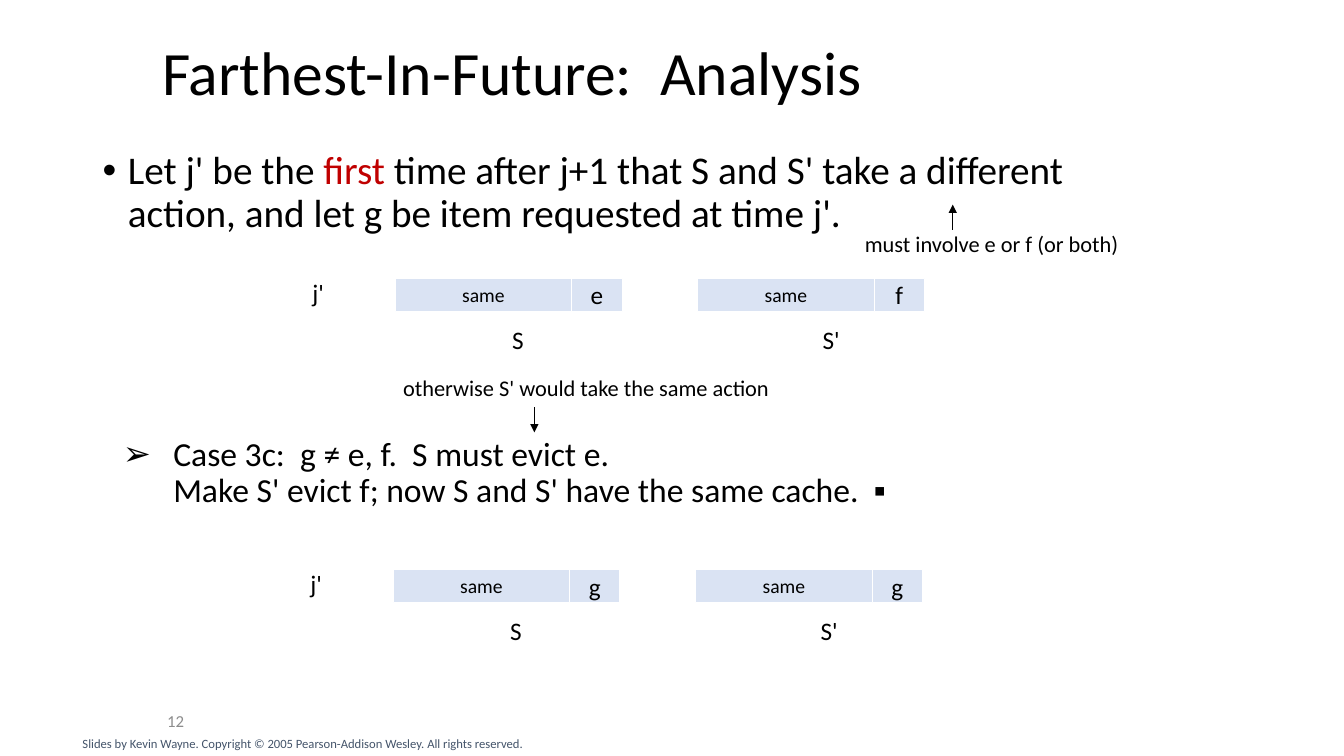
from lxml.etree import SubElement
from pptx import Presentation
from pptx.dml.color import RGBColor
from pptx.enum.shapes import MSO_CONNECTOR, MSO_SHAPE
from pptx.enum.text import MSO_ANCHOR, MSO_AUTO_SIZE, PP_ALIGN
from pptx.oxml.ns import qn
from pptx.util import Pt

BLACK = RGBColor(0x00, 0x00, 0x00)
WHITE = RGBColor(0xFF, 0xFF, 0xFF)
GRAY = RGBColor(0x8C, 0x8C, 0x8C)
SLATE = RGBColor(0x44, 0x54, 0x6A)
RED = RGBColor(0xC0, 0x00, 0x00)
CACHE_BLUE = RGBColor(0xDA, 0xE3, 0xF3)

EMU_PER_PX = 9144
SLIDE_SIZE = (1333, 750)
FONT = "Calibri"


def px(*lengths):
    """Turn lengths in px, 100 to the inch, into EMU."""
    return [length * EMU_PER_PX for length in lengths]


class SlideBuilder:
    """Holds the style and the current slide, and draws its elements."""

    def __init__(self, slide, font):
        self.slide = slide
        self.font = font

    def add_run(self, paragraph, text, size, color=BLACK):
        """Add one styled run to a paragraph."""
        run = paragraph.add_run()
        run.text = text
        run.font.name = self.font
        run.font.size = Pt(size)
        run.font.color.rgb = color

    def text_box(self, box, anchor=MSO_ANCHOR.TOP, wrap=True, grow=False):
        """Add an empty text box and return its first paragraph."""
        frame = self.slide.shapes.add_textbox(*px(*box)).text_frame
        frame.word_wrap = wrap
        frame.vertical_anchor = anchor
        frame.auto_size = MSO_AUTO_SIZE.SHAPE_TO_FIT_TEXT if grow else MSO_AUTO_SIZE.NONE
        return frame.paragraphs[0]

    def label(self, box, text, size=18):
        """Add a short label that does not wrap."""
        self.add_run(self.text_box(box, wrap=False, grow=True), text, size)

    def bullet_box(self, box, bullet, margin, hanging):
        """Add a text box with a bulleted paragraph and return the paragraph."""
        paragraph = self.text_box(box)
        paragraph.line_spacing = 0.9
        properties = paragraph._p.get_or_add_pPr()
        properties.set("marL", str(margin * EMU_PER_PX))
        properties.set("indent", str(-hanging * EMU_PER_PX))
        SubElement(properties, qn("a:buFont")).set("typeface", "Arial")
        SubElement(properties, qn("a:buChar")).set("char", bullet)
        return paragraph

    def cell(self, box, text, size):
        """Add one cache cell with centred text."""
        shape = self.slide.shapes.add_shape(MSO_SHAPE.RECTANGLE, *px(*box))
        shape.shadow.inherit = False
        shape.fill.solid()
        shape.fill.fore_color.rgb = CACHE_BLUE
        shape.line.color.rgb = WHITE
        shape.line.width = Pt(0.75)
        frame = shape.text_frame
        frame.word_wrap = False
        frame.vertical_anchor = MSO_ANCHOR.MIDDLE
        paragraph = frame.paragraphs[0]
        paragraph.alignment = PP_ALIGN.CENTER
        self.add_run(paragraph, text, size)

    def cache_row(self, left, top, items):
        """Add the caches S and S' at time j', each ending in its own item."""
        for index, item in enumerate(items):
            cache_left = left + 300 * index
            self.cell((cache_left, top, 175, 33), "same", 14)
            self.cell((cache_left + 175, top, 50, 33), item, 18)
        self.label((left + 106, top + 41, 32, 40), "S")
        self.label((left + 414, top + 41, 38, 40), "S'")
        self.label((left - 92, top - 6, 32, 40), "j'")

    def arrow(self, x, start, end):
        """Add a vertical arrow."""
        connector = self.slide.shapes.add_connector(
            MSO_CONNECTOR.STRAIGHT, *px(x, start, x, end))
        connector.line.color.rgb = BLACK
        connector.line.width = Pt(0.75)
        SubElement(connector.line._get_or_add_ln(), qn("a:tailEnd")).set("type", "triangle")
        SubElement(connector._element.spPr, qn("a:effectLst"))


def main():
    """Build and save the slide."""
    presentation = Presentation()
    presentation.slide_width, presentation.slide_height = px(*SLIDE_SIZE)
    slide = presentation.slides.add_slide(presentation.slide_layouts[6])
    builder = SlideBuilder(slide, FONT)

    title = builder.text_box((151, 29, 1150, 91), MSO_ANCHOR.MIDDLE)
    title.line_spacing = 0.9
    builder.add_run(title, "Farthest-In-Future:  Analysis", 44)

    claim = builder.bullet_box((92, 145, 995, 106), "•", 25, 25)
    builder.add_run(claim, "Let j' be the ", 28)
    builder.add_run(claim, "first", 28, RED)
    builder.add_run(claim, " time after j+1 that S and S' take a different action, "
                           "and let g be item requested at time j'.", 28)
    builder.arrow(945, 228, 203)
    builder.label((848, 223, 275, 37), "must involve e or f (or both)", 16)
    builder.cache_row(392, 276, "ef")

    builder.label((390, 366, 388, 37), "otherwise S' would take the same action", 16)
    builder.arrow(530, 404, 429)
    case = builder.bullet_box((62, 429, 1209, 124), "➢", 100, 50)
    builder.add_run(case, "Case 3c:  g ≠ e, f.  S must evict e.", 24)
    case.add_line_break()
    builder.add_run(case, "Make S' evict f; now S and S' have the same cache.  ▪", 24)
    builder.cache_row(390, 565, "gg")

    page_number = builder.text_box((156, 695, 236, 40), MSO_ANCHOR.MIDDLE)
    builder.add_run(page_number, "12", 12, GRAY)
    credit = builder.text_box((72, 725, 517, 25), grow=True)
    builder.add_run(credit, "Slides by Kevin Wayne. Copyright © 2005 Pearson-Addison Wesley. "
                            "All rights reserved.", 9, SLATE)

    presentation.save("out.pptx")


if __name__ == "__main__":
    main()
